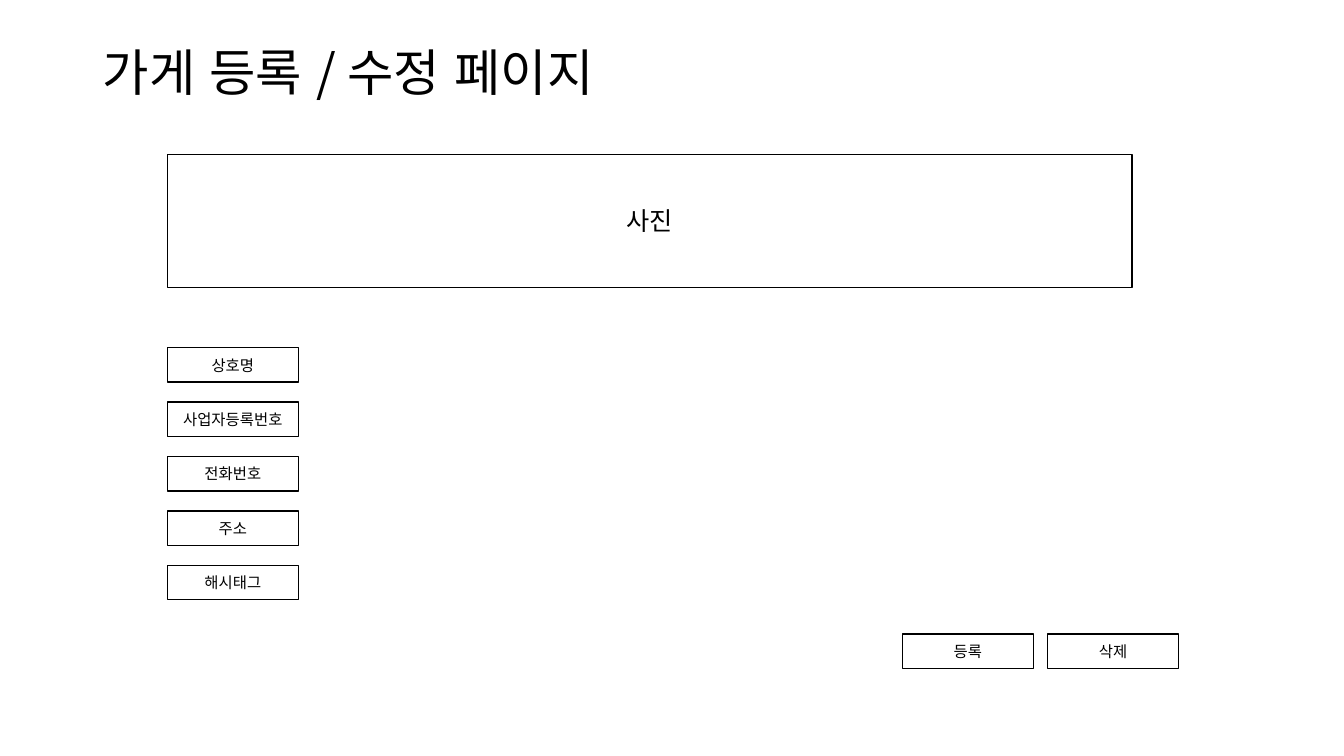
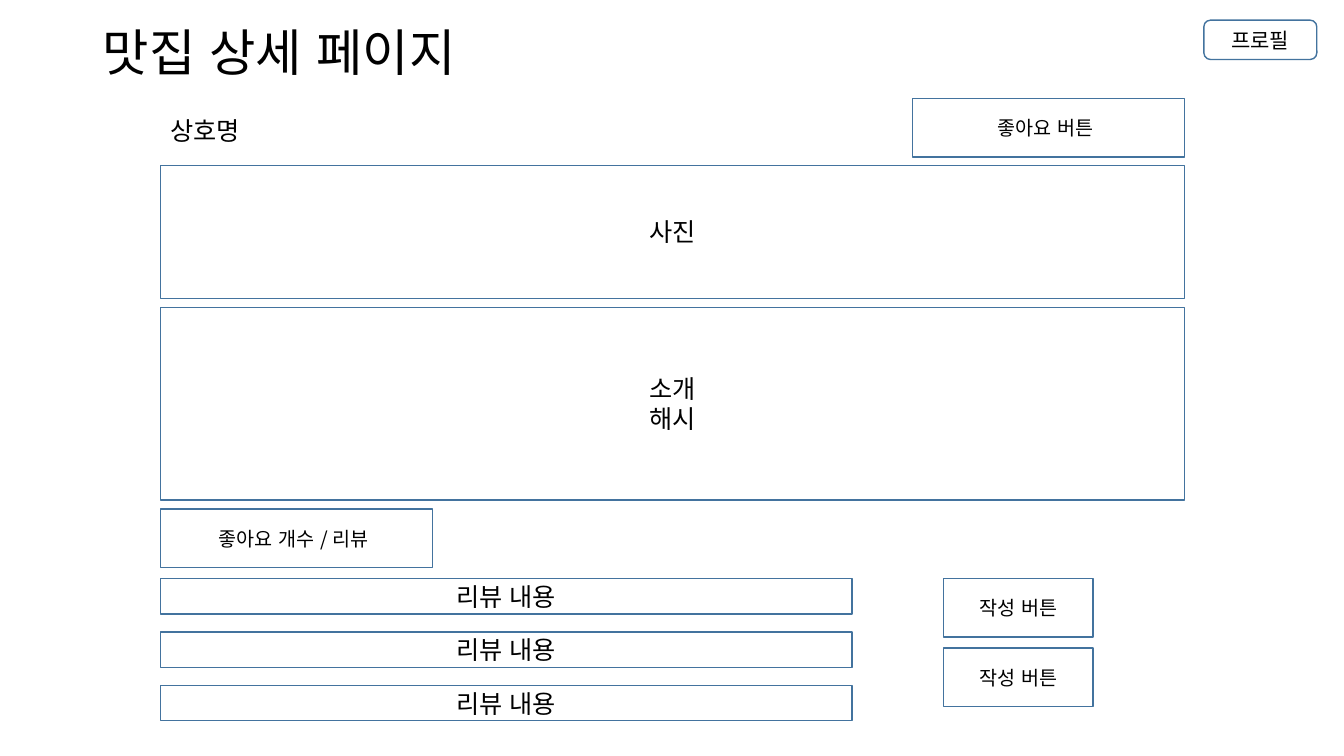
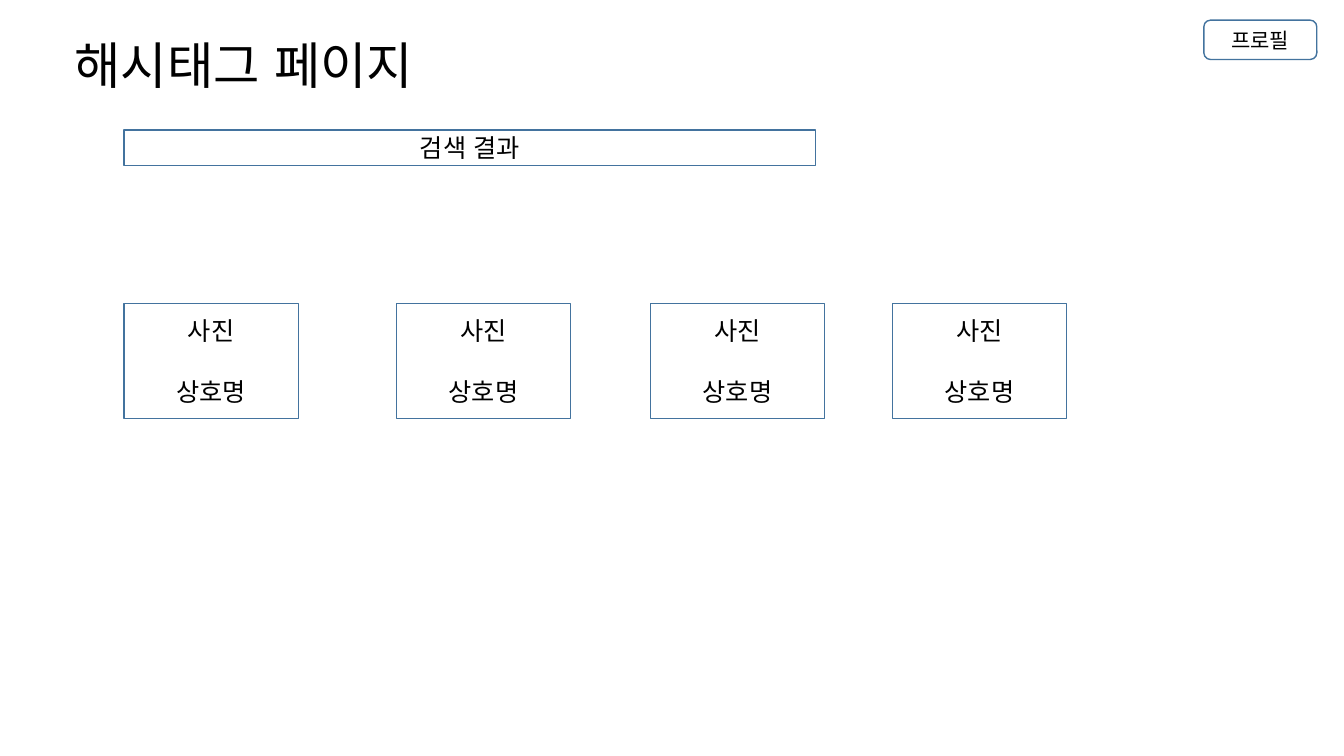
import dataclasses
import typing

import pptx
import pptx.dml.color
import pptx.enum.shapes
import pptx.enum.text
import pptx.oxml.ns
import pptx.presentation
import pptx.slide
import pptx.text.text
import pptx.util

PX = 9144
FONT = "Noto Sans CJK KR"
COLORS = {"ink": "000000", "paper": "FFFFFF", "edge": "43739E"}
SHAPES = pptx.enum.shapes.MSO_SHAPE
ALIGN = pptx.enum.text.PP_ALIGN
ANCHOR = pptx.enum.text.MSO_ANCHOR


@dataclasses.dataclass(frozen=True)
class Area:
    left: int
    top: int
    width: int
    height: int

    def emu(self) -> list[int]:
        return [value * PX for value in dataclasses.astuple(self)]


@dataclasses.dataclass(frozen=True)
class Panel:
    area: Area
    lines: tuple[str, ...]
    size: int = 18
    edge: str = "edge"
    fill: typing.Optional[str] = "paper"
    rounded: bool = False
    gap: float = 0


def color(name: str) -> pptx.dml.color.RGBColor:
    return pptx.dml.color.RGBColor.from_string(COLORS[name])


def add_run(paragraph: pptx.text.text._Paragraph, text: str, size: int) -> None:
    run = paragraph.add_run()
    run.text = text
    run.font.size = pptx.util.Pt(size)
    run.font.name = FONT
    run.font.color.rgb = color("ink")
    properties = run.font._element
    properties.set("lang", "ko-KR")
    east_asian = properties.makeelement(pptx.oxml.ns.qn("a:ea"), {"typeface": FONT})
    properties.append(east_asian)


def draw_label(slide: pptx.slide.Slide, area: Area, text: str, size: int,
               anchor: ANCHOR, spacing: float) -> None:
    frame = slide.shapes.add_textbox(*area.emu()).text_frame
    frame.word_wrap = True
    frame.vertical_anchor = anchor
    paragraph = frame.paragraphs[0]
    paragraph.line_spacing = spacing
    add_run(paragraph, text, size)


def draw_panel(slide: pptx.slide.Slide, panel: Panel) -> None:
    preset = SHAPES.ROUNDED_RECTANGLE if panel.rounded else SHAPES.RECTANGLE
    shape = slide.shapes.add_shape(preset, *panel.area.emu())
    shape.shadow.inherit = False
    if panel.fill:
        shape.fill.solid()
        shape.fill.fore_color.rgb = color(panel.fill)
    else:
        shape.fill.background()
    shape.line.color.rgb = color(panel.edge)
    shape.line.width = pptx.util.Pt(1)
    frame = shape.text_frame
    frame.word_wrap = True
    frame.vertical_anchor = ANCHOR.MIDDLE
    for index, line in enumerate(panel.lines):
        paragraph = frame.add_paragraph() if index else frame.paragraphs[0]
        paragraph.alignment = ALIGN.CENTER
        if index and panel.gap:
            paragraph.space_before = pptx.util.Pt(panel.gap)
        add_run(paragraph, line, panel.size)


def add_page(deck: pptx.presentation.Presentation, title: str, title_area: Area,
             panels: list[Panel]) -> pptx.slide.Slide:
    slide = deck.slides.add_slide(deck.slide_layouts[6])
    draw_label(slide, title_area, title, 36, ANCHOR.MIDDLE, 0.9)
    for panel in panels:
        draw_panel(slide, panel)
    return slide


def outline(area: Area, text: str, size: int = 11) -> Panel:
    return Panel(area, (text,), size, edge="ink", fill=None)


def bar(left: int, top: int, text: str) -> Panel:
    return Panel(Area(left, top, 686, 35), (text,))


def button(left: int, top: int, width: int, text: str) -> Panel:
    return Panel(Area(left, top, width, 58), (text,), 14)


PROFILE = Panel(Area(1194, 20, 112, 39), ("프로필",), 15, rounded=True)


def add_store_form(deck: pptx.presentation.Presentation) -> None:
    fields = ("상호명", "사업자등록번호", "전화번호", "주소", "해시태그")
    actions = ("등록", "삭제")
    panels = [outline(Area(166, 153, 957, 132), "사진", 18)]
    panels += [outline(Area(166, 345 + 54 * row, 130, 34), field)
               for row, field in enumerate(fields)]
    panels += [outline(Area(895 + 144 * column, 629, 130, 34), action)
               for column, action in enumerate(actions)]
    add_page(deck, "가게 등록 / 수정 페이지", Area(92, 40, 1091, 69), panels)


def add_store_detail(deck: pptx.presentation.Presentation) -> None:
    left = 159
    reviews_top = 574
    panels = [
        PROFILE,
        button(905, 98, 270, "좋아요 버튼 "),
        Panel(Area(left, 164, 1016, 132), ("사진",)),
        Panel(Area(left, 305, 1016, 191), ("소개", "해시")),
        button(left, 505, 270, "좋아요 개수 / 리뷰 "),
    ]
    panels += [bar(left, reviews_top + 53 * row, "리뷰 내용") for row in range(3)]
    panels += [button(936, reviews_top + 69 * row, 148, "작성 버튼") for row in range(2)]
    slide = add_page(deck, "맛집 상세 페이지", Area(92, 40, 501, 29), panels)
    draw_label(slide, Area(left, 109, 275, 40), "상호명", 18, ANCHOR.TOP, 1.0)


def add_hashtag_results(deck: pptx.presentation.Presentation) -> None:
    panels = [PROFILE, bar(123, 129, "검색 결과")]
    panels += [Panel(Area(left, 301, 173, 114), ("사진", "상호명"), gap=21.6)
               for left in (123, 393, 645, 885)]
    add_page(deck, "해시태그 페이지", Area(64, 53, 501, 29), panels)


def main() -> None:
    deck = pptx.Presentation()
    deck.slide_width = 1333 * PX
    deck.slide_height = 750 * PX
    add_store_form(deck)
    add_store_detail(deck)
    add_hashtag_results(deck)
    deck.save("out.pptx")


if __name__ == "__main__":
    main()
